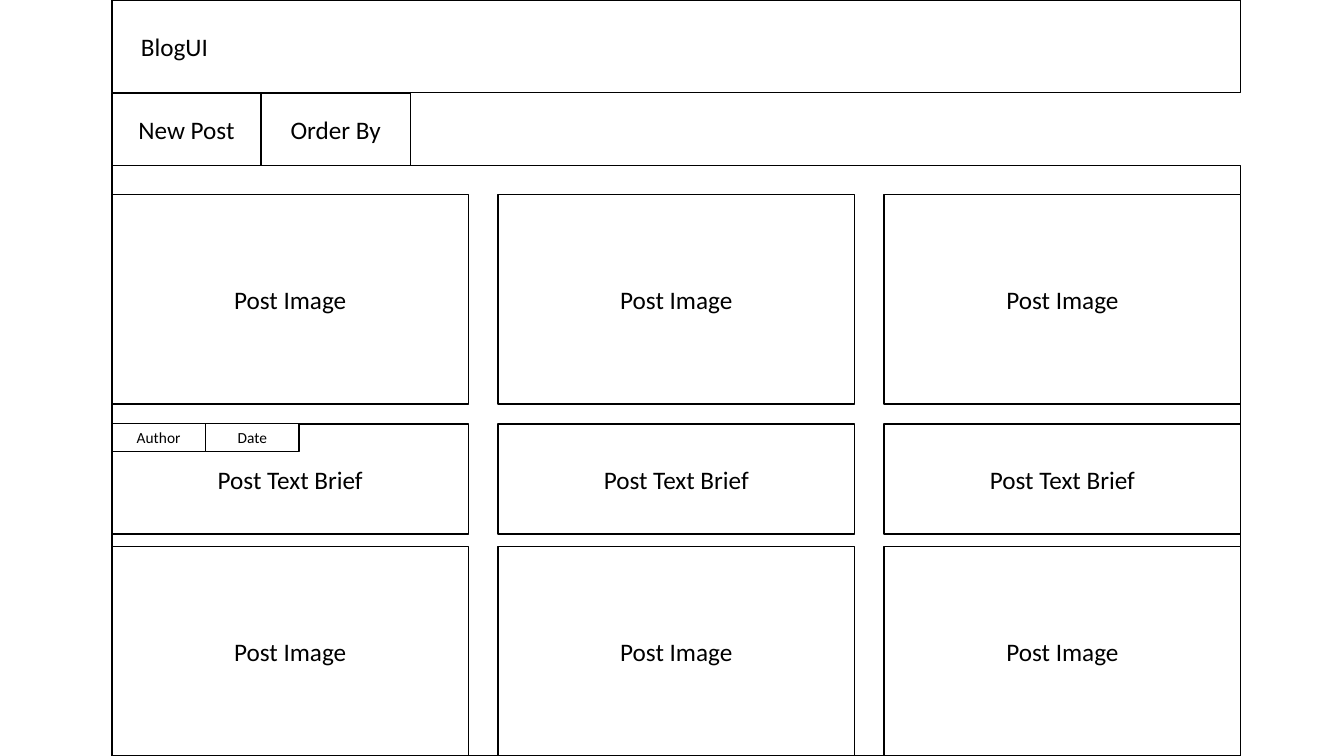
from pptx import Presentation
from pptx.dml.color import RGBColor
from pptx.enum.shapes import MSO_SHAPE
from pptx.enum.text import MSO_ANCHOR, PP_ALIGN
from pptx.util import Cm, Pt

PAGE_LEFT, PAGE_WIDTH, PAGE_HEIGHT = 2.82, 28.45, 19.05
HEADER_HEIGHT = 2.34
TAB_WIDTH, TAB_HEIGHT = 3.76, 1.83
CARD_WIDTH, CARD_STEP = 8.99, 9.73
TAG_WIDTH, TAG_HEIGHT = 2.36, 0.71
BLACK, WHITE = "000000", "FFFFFF"


def color(hex_string):
    return RGBColor.from_string(hex_string)


def add_box(left, top, width, height, text="", size=18, align=PP_ALIGN.CENTER):
    """Add a white, black-edged rectangle; lengths are in centimetres."""
    shape = slide.shapes.add_shape(
        MSO_SHAPE.RECTANGLE, Cm(left), Cm(top), Cm(width), Cm(height))
    shape.shadow.inherit = False
    shape.fill.solid()
    shape.fill.fore_color.rgb = color(WHITE)
    shape.line.color.rgb = color(BLACK)
    shape.line.width = Pt(1)
    if text:
        shape.text_frame.vertical_anchor = MSO_ANCHOR.MIDDLE
        paragraph = shape.text_frame.paragraphs[0]
        paragraph.alignment = align
        run = paragraph.add_run()
        run.text = text
        font_format = {"name": "Calibri", "size": Pt(size)}
        for attribute, value in font_format.items():
            setattr(run.font, attribute, value)
        run.font.color.rgb = color(BLACK)
    return shape


presentation = Presentation()
presentation.slide_width = Cm(33.87)
presentation.slide_height = Cm(PAGE_HEIGHT)
slide = presentation.slides.add_slide(presentation.slide_layouts[6])

# Header and menu
header = add_box(PAGE_LEFT, 0, PAGE_WIDTH, HEADER_HEIGHT, "BlogUI",
                 align=PP_ALIGN.LEFT)
header.text_frame.margin_left = Cm(0.73)
for column, label in enumerate(["New Post", "Order By"]):
    add_box(PAGE_LEFT + column * TAB_WIDTH, HEADER_HEIGHT,
            TAB_WIDTH, TAB_HEIGHT, label)

# Post area
body_top = HEADER_HEIGHT + TAB_HEIGHT
add_box(PAGE_LEFT, body_top, PAGE_WIDTH, PAGE_HEIGHT - body_top)
card_rows = [
    ("Post Image", 4.9, 5.28),
    ("Post Text Brief", 10.69, 2.77),
    ("Post Image", 13.77, 5.28),
]
for label, top, height in card_rows:
    for column in range(3):
        add_box(PAGE_LEFT + column * CARD_STEP, top, CARD_WIDTH, height, label)

# Tags on the first post
for column, label in enumerate(["Author", "Date"]):
    add_box(PAGE_LEFT + column * TAG_WIDTH, 10.67,
            TAG_WIDTH, TAG_HEIGHT, label, size=11)

presentation.save("out.pptx")
